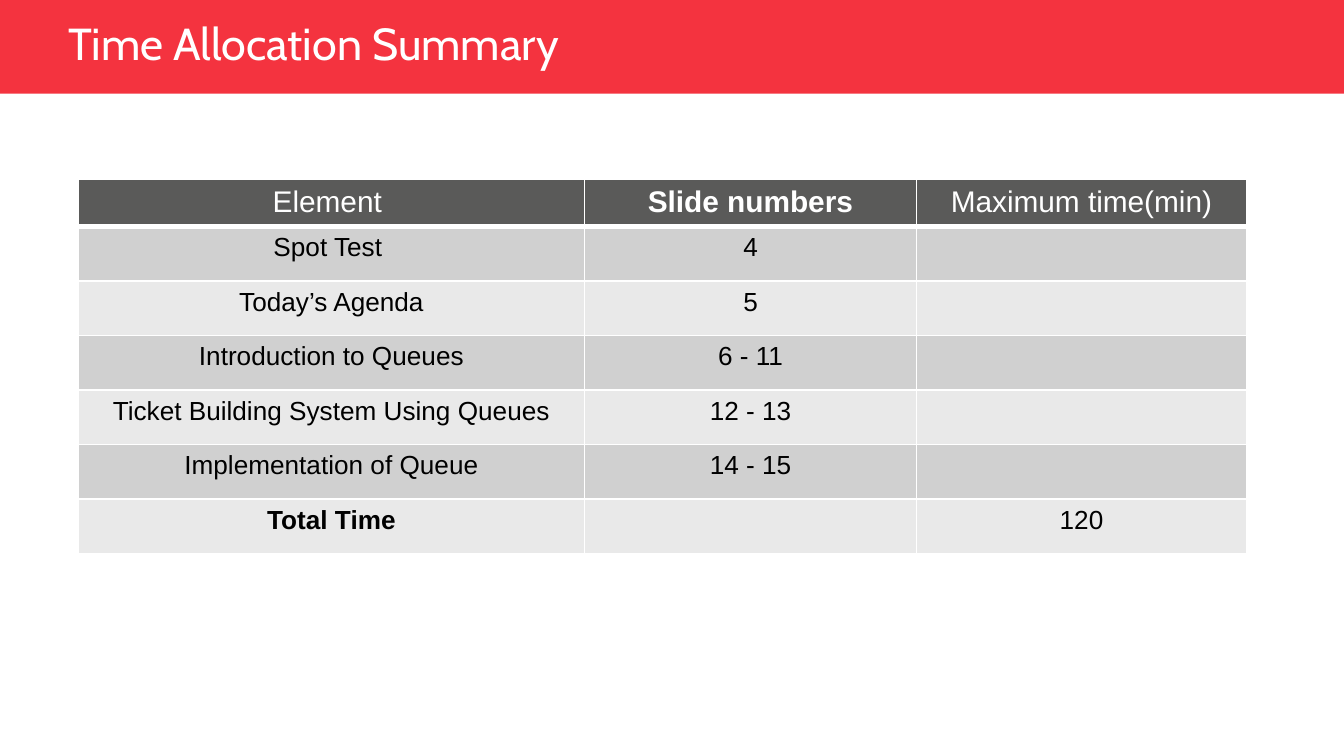
"""Build the time allocation summary slide."""
from dataclasses import dataclass

from lxml import etree
from pptx import Presentation
from pptx.dml.color import RGBColor
from pptx.enum.shapes import MSO_SHAPE
from pptx.enum.text import MSO_ANCHOR, MSO_AUTO_SIZE, PP_ALIGN
from pptx.oxml.ns import qn
from pptx.slide import Slide
from pptx.table import _Cell
from pptx.text.text import _Paragraph
from pptx.util import Cm, Pt

RECTANGLE = MSO_SHAPE.RECTANGLE
MIDDLE = MSO_ANCHOR.MIDDLE
NO_FIT = MSO_AUTO_SIZE.NONE
LEFT, CENTER = PP_ALIGN.LEFT, PP_ALIGN.CENTER
TITLE_ONLY = 5

COLORS = {
    "band": "F4333F",
    "header": "5A5A59",
    "dark_row": "D0D0D0",
    "light_row": "E9E9E9",
    "white": "FFFFFF",
    "black": "000000",
}
COLUMN_WIDTHS = (9.57, 6.27, 6.24)
HEADER_HEIGHT, ROW_HEIGHT = 0.9, 0.97


@dataclass(frozen=True)
class TextStyle:
    size: int
    color: str = "black"
    bold: bool = False
    font: str = "Arial"


@dataclass(frozen=True)
class Entry:
    element: str
    slides: str = ""
    minutes: str = ""
    bold_column: int | None = None


HEADER = Entry("Element ", "Slide numbers", "Maximum time(min)", bold_column=1)
ENTRIES = (
    Entry("Spot Test ", "4"),
    Entry("Today’s Agenda", "5"),
    Entry("Introduction to Queues", "6 - 11"),
    Entry("Ticket Building System Using Queues", "12 - 13"),
    Entry("Implementation of Queue", "14 - 15"),
    Entry("Total Time", minutes="120", bold_column=0),
)


def rgb(name: str) -> RGBColor:
    return RGBColor.from_string(COLORS[name])


def add_span(para: _Paragraph, text: str, style: TextStyle) -> None:
    span = para.add_run()
    span.text = text
    span.font.name = style.font
    span.font.size = Pt(style.size)
    span.font.bold = style.bold
    span.font.color.rgb = rgb(style.color)


def add_title(page: Slide, text: str) -> None:
    band = page.shapes.add_shape(RECTANGLE, 0, 0, Cm(25.4), Cm(1.77))
    band.shadow.inherit = False
    band.fill.solid()
    band.fill.fore_color.rgb = rgb("band")
    band.line.fill.background()

    title = page.shapes.title
    title._element.addprevious(band._element)
    title.left, title.top = Cm(1.04), Cm(-0.28)
    title.width, title.height = Cm(16.95), Cm(2.18)
    frame = title.text_frame
    frame.auto_size = NO_FIT
    frame.word_wrap = True
    frame.vertical_anchor = MIDDLE
    para = frame.paragraphs[0]
    para.alignment = LEFT
    para.space_before = Pt(10)
    add_span(para, text, TextStyle(24, "white", font="Cabin"))


def set_borders(cell: _Cell, bottom: int) -> None:
    properties = cell._tc.get_or_add_tcPr()
    for side, width in (("L", 1), ("R", 1), ("T", 1), ("B", bottom)):
        line = etree.SubElement(properties, qn(f"a:ln{side}"), w=str(Pt(width)))
        fill = etree.SubElement(line, qn("a:solidFill"))
        etree.SubElement(fill, qn("a:srgbClr"), val=COLORS["white"])


def fill_row(cells: list[_Cell], entry: Entry, fill: str, size: int, color: str, bottom: int = 1) -> None:
    texts = (entry.element, entry.slides, entry.minutes)
    for column, (cell, text) in enumerate(zip(cells, texts)):
        set_borders(cell, bottom)
        cell.fill.solid()
        cell.fill.fore_color.rgb = rgb(fill)
        para = cell.text_frame.paragraphs[0]
        para.alignment = CENTER
        if text:
            add_span(para, text, TextStyle(size, color, column == entry.bold_column))


def add_schedule(page: Slide) -> None:
    height = HEADER_HEIGHT + ROW_HEIGHT * len(ENTRIES)
    box = page.shapes.add_table(
        len(ENTRIES) + 1, len(COLUMN_WIDTHS), Cm(1.48), Cm(3.38), Cm(sum(COLUMN_WIDTHS)), Cm(height)
    )
    table = box.table
    for column, width in zip(table.columns, COLUMN_WIDTHS):
        column.width = Cm(width)
    header, *rows = table.rows
    header.height = Cm(HEADER_HEIGHT)
    fill_row(list(header.cells), HEADER, "header", 16, "white", bottom=3)
    for index, (row, entry) in enumerate(zip(rows, ENTRIES)):
        row.height = Cm(ROW_HEIGHT)
        fill = "light_row" if index % 2 else "dark_row"
        fill_row(list(row.cells), entry, fill, 14, "black")


def main() -> None:
    deck = Presentation()
    deck.slide_width, deck.slide_height = Cm(25.4), Cm(14.29)
    page = deck.slides.add_slide(deck.slide_layouts[TITLE_ONLY])
    add_title(page, "Time Allocation Summary")
    add_schedule(page)
    deck.save("out.pptx")


if __name__ == "__main__":
    main()
